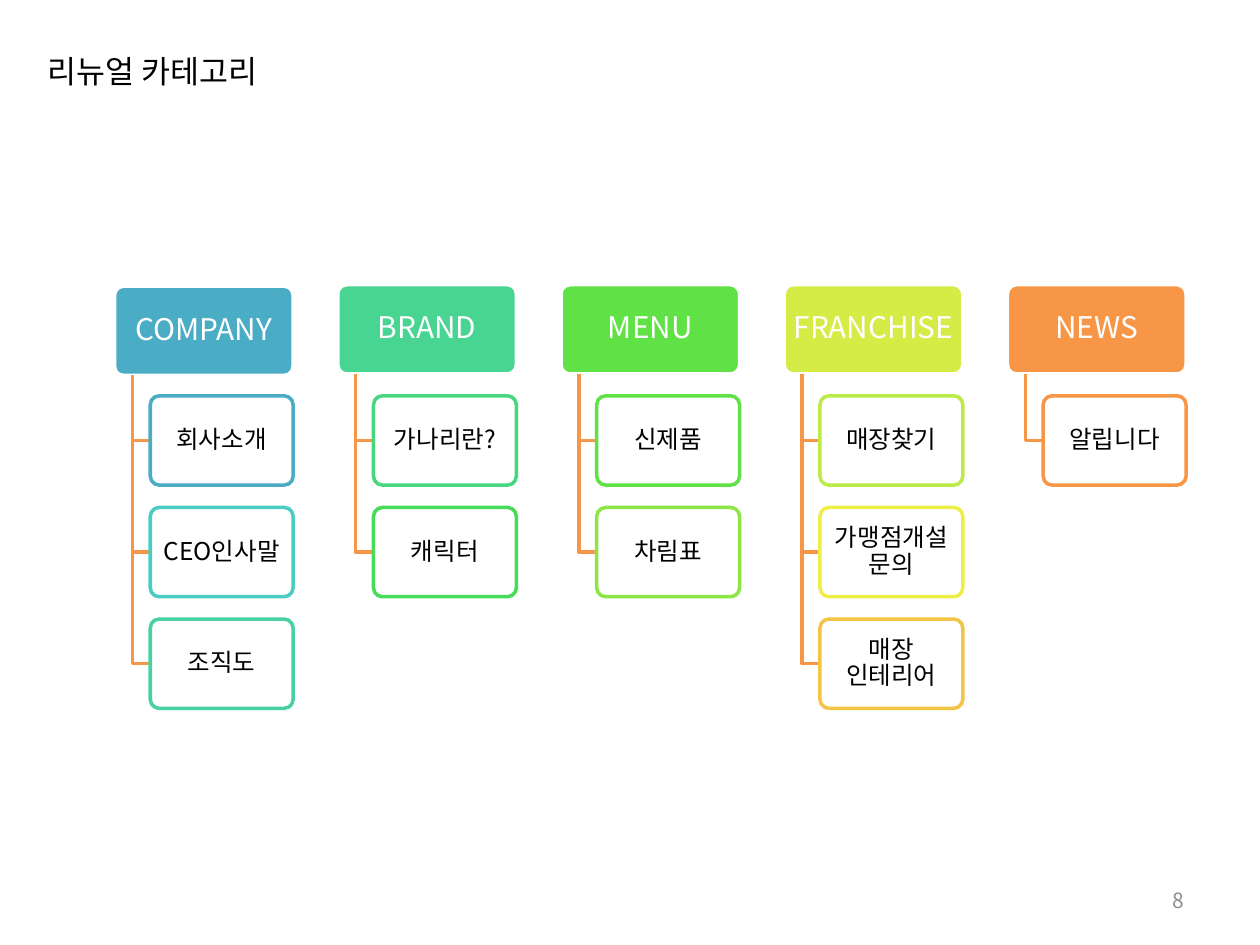
from dataclasses import dataclass

from lxml import etree
from pptx import Presentation
from pptx.dml.color import RGBColor
from pptx.enum.shapes import MSO_SHAPE
from pptx.enum.text import MSO_ANCHOR, PP_ALIGN
from pptx.oxml.ns import qn
from pptx.util import Cm, Pt

ROUNDED = MSO_SHAPE.ROUNDED_RECTANGLE
TOP, MIDDLE = MSO_ANCHOR.TOP, MSO_ANCHOR.MIDDLE
LEFT, CENTER, RIGHT = PP_ALIGN.LEFT, PP_ALIGN.CENTER, PP_ALIGN.RIGHT


@dataclass(frozen=True)
class Theme:
    font: str = "Noto Sans CJK KR"
    text: str = "000000"
    white: str = "FFFFFF"
    grey: str = "8C8C8C"
    branch: str = "F79646"
    title_size: int = 18
    header_size: int = 17
    item_size: int = 14
    number_size: int = 12
    line_width: int = 2


theme = Theme()


def write_text(shape, text, *, size, color=theme.text, align=LEFT, anchor=TOP,
               insets=(0.25, 0.13), spacing=1.0):
    frame = shape.text_frame
    frame.word_wrap = True
    frame.vertical_anchor = anchor
    frame.margin_left = frame.margin_right = Cm(insets[0])
    frame.margin_top = frame.margin_bottom = Cm(insets[1])
    paragraph = frame.paragraphs[0]
    paragraph.alignment = align
    paragraph.line_spacing = spacing
    run = paragraph.add_run()
    run.text = text
    run.font.size = Pt(size)
    run.font.name = theme.font
    run.font.color.rgb = RGBColor.from_string(color)
    # Korean glyphs take the East Asian font
    east_asian = etree.SubElement(run.font._element, qn("a:ea"))
    east_asian.set("typeface", theme.font)


def add_card(left, top, width, height, fill, line):
    card = slide.shapes.add_shape(ROUNDED, Cm(left), Cm(top), Cm(width), Cm(height))
    card.adjustments[0] = 0.1
    card.shadow.inherit = False
    card.fill.solid()
    card.fill.fore_color.rgb = RGBColor.from_string(fill)
    card.line.color.rgb = RGBColor.from_string(line)
    card.line.width = Pt(theme.line_width)
    return card


presentation = Presentation()
presentation.slide_width = Cm(25.4)
presentation.slide_height = Cm(19.05)
slide = presentation.slides.add_slide(presentation.slide_layouts[6])

# Page number
number_box = slide.shapes.add_textbox(Cm(18.2), Cm(17.65), Cm(5.93), Cm(1.01))
write_text(number_box, "8", size=theme.number_size, color=theme.grey,
           align=RIGHT, anchor=MIDDLE)

# Menu tree: header, header colour, header top, items with outline colour
categories = [
    ("COMPANY", "4BACC6", 5.77,
     [("회사소개", "4BACC6"), ("CEO인사말", "4ACCC3"), ("조직도", "49D1A3")]),
    ("BRAND", "48D491", 5.74, [("가나리란?", "48D77E"), ("캐릭터", "47DC57")]),
    ("MENU", "60E146", 5.74, [("신제품", "60E146"), ("차림표", "8DE646")]),
    ("FRANCHISE", "D5EC46", 5.74,
     [("매장찾기", "BCEA46"), ("가맹점개설문의", "EEEF46"), ("매장 인테리어", "F3C446")]),
    ("NEWS", "F79646", 5.74, [("알립니다", "F79646")]),
]
first_left, column_pitch = 2.31, 4.5
header_width, card_height = 3.6, 1.8
first_item_top, row_pitch = 7.98, 2.25
trunk_offset, item_offset, item_width = 0.36, 0.72, 2.88

for column, (name, color, header_top, items) in enumerate(categories):
    left = first_left + column * column_pitch
    header = add_card(left, header_top, header_width, card_height, color, theme.white)
    write_text(header, name, size=theme.header_size, color=theme.white, align=CENTER,
               anchor=MIDDLE, insets=(0.09, 0.06), spacing=0.9)

    trunk_left, item_left = left + trunk_offset, left + item_offset
    trunk_top = header_top + card_height
    for row, (label, outline) in enumerate(items):
        item_top = first_item_top + row * row_pitch
        item_middle = item_top + card_height / 2

        # Elbow from the header to the item
        builder = slide.shapes.build_freeform(Cm(trunk_left), Cm(trunk_top))
        builder.add_line_segments([(Cm(trunk_left), Cm(item_middle)),
                                   (Cm(item_left), Cm(item_middle))], close=False)
        elbow = builder.convert_to_shape()
        elbow.shadow.inherit = False
        elbow.fill.background()
        elbow.line.color.rgb = RGBColor.from_string(theme.branch)
        elbow.line.width = Pt(theme.line_width)

        # Item card, 90 % opaque
        item = add_card(item_left, item_top, item_width, card_height, theme.white, outline)
        fill_color = item._element.spPr.find(qn("a:solidFill"))[0]
        etree.SubElement(fill_color, qn("a:alpha")).set("val", "90000")
        write_text(item, label, size=theme.item_size, align=CENTER, anchor=MIDDLE,
                   insets=(0.07, 0.05), spacing=0.9)

# Title
title_box = slide.shapes.add_textbox(Cm(0.71), Cm(0.91), Cm(5.41), Cm(1.02))
write_text(title_box, "리뉴얼 카테고리", size=theme.title_size)

presentation.save("out.pptx")
